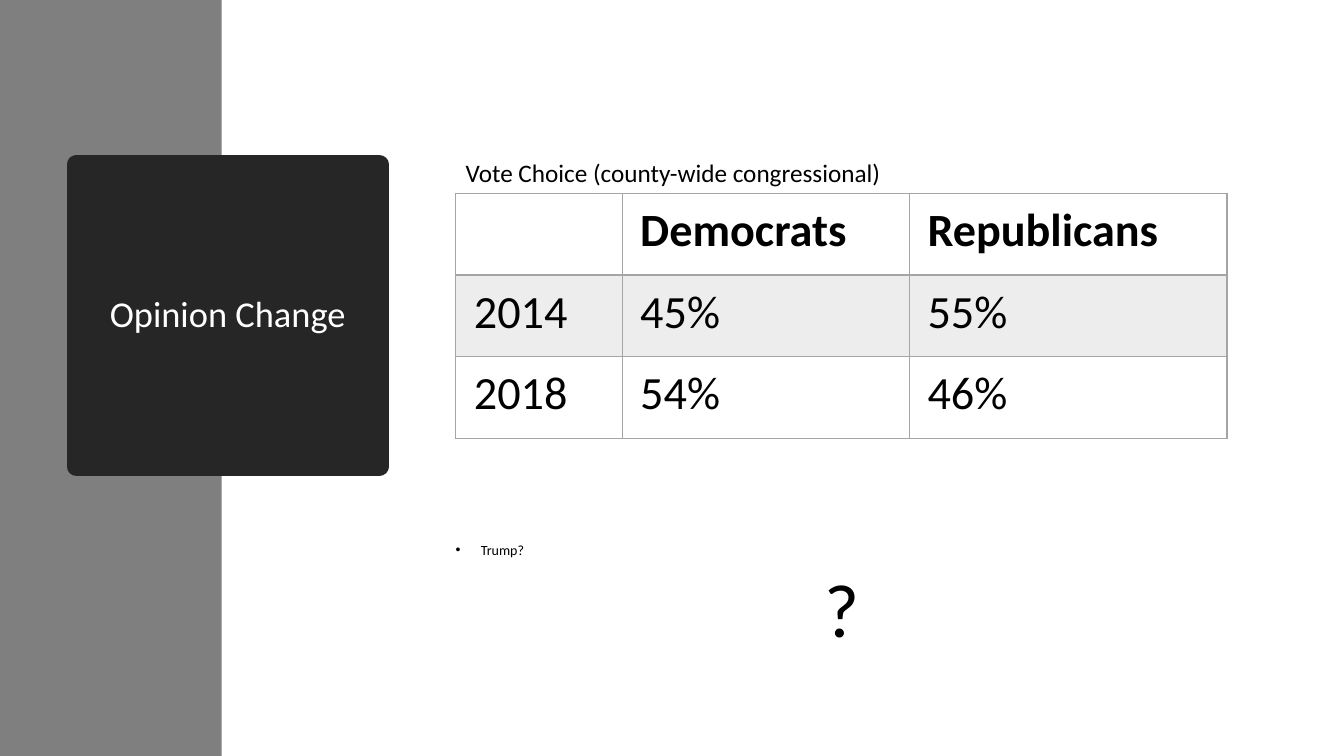
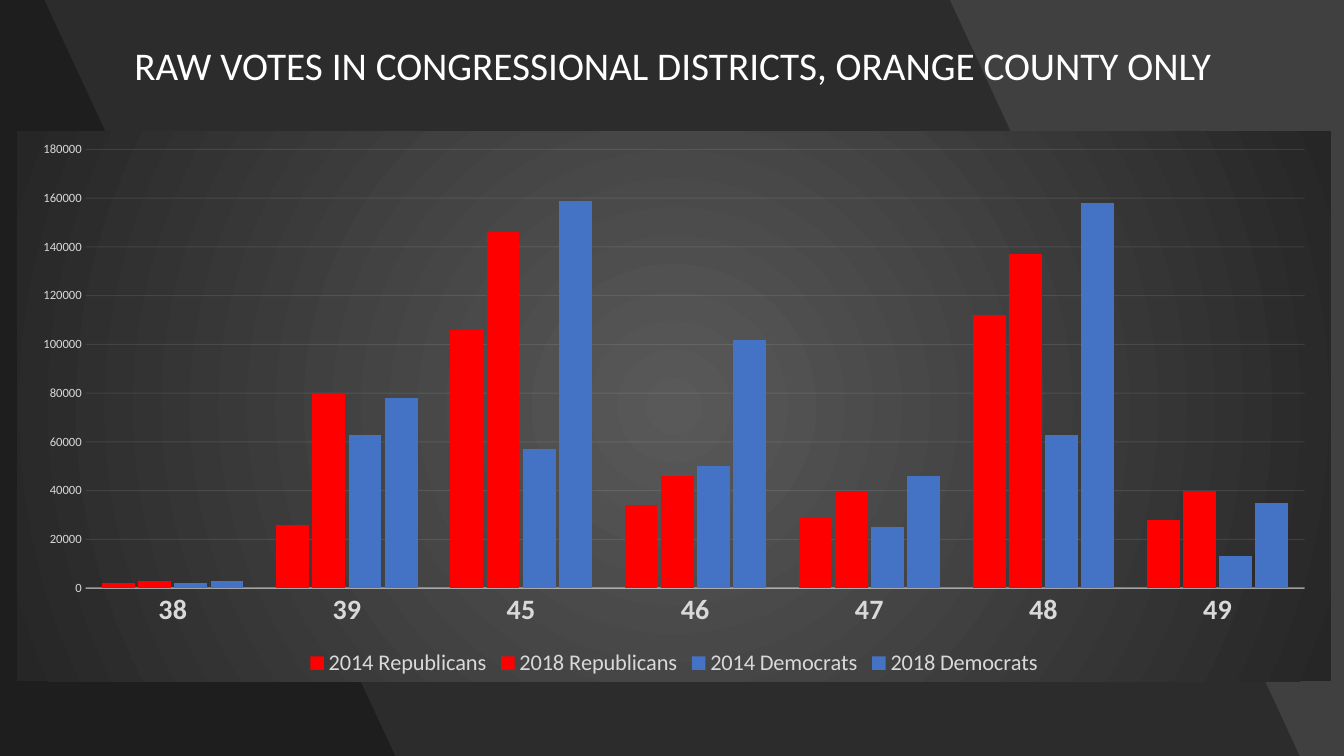
from lxml import etree
from pptx import Presentation
from pptx.chart.data import CategoryChartData
from pptx.dml.color import RGBColor
from pptx.enum.chart import XL_CHART_TYPE, XL_LEGEND_POSITION, XL_TICK_MARK
from pptx.enum.shapes import MSO_SHAPE
from pptx.enum.text import MSO_ANCHOR, MSO_AUTO_SIZE, PP_ALIGN
from pptx.oxml import parse_xml
from pptx.oxml.ns import nsdecls, qn
from pptx.util import Inches, Pt

CENTER, LEFT = PP_ALIGN.CENTER, PP_ALIGN.LEFT
MIDDLE, TOP = MSO_ANCHOR.MIDDLE, MSO_ANCHOR.TOP
NO_TICK = XL_TICK_MARK.NONE

FONT = "Calibri"
WIDTH, HEIGHT = 13.33, 7.5
BLACK = RGBColor(0x00, 0x00, 0x00)
WHITE = RGBColor(0xFF, 0xFF, 0xFF)
BAND_GRAY = RGBColor(0x7F, 0x7F, 0x7F)
CHARCOAL = RGBColor(0x26, 0x26, 0x26)
BACKDROP = RGBColor(0x40, 0x40, 0x40)
RULE_GRAY = RGBColor(0xA5, 0xA5, 0xA5)
STRIPE = RGBColor(0xED, 0xED, 0xED)
LABEL_GRAY = RGBColor(0xD9, 0xD9, 0xD9)
AXIS_GRAY = RGBColor(0xF2, 0xF2, 0xF2)
RED = RGBColor(0xFF, 0x00, 0x00)
BLUE = RGBColor(0x44, 0x72, 0xC4)

OPINION_TITLE = "Opinion Change"
CAPTION = "Vote Choice (county-wide congressional)"
VOTE_CHOICE = [
    ("", "Democrats", "Republicans"),
    ("2014", "45%", "55%"),
    ("2018", "54%", "46%"),
]
VOTE_COLUMNS = (1.65, 2.85, 3.15)
VOTE_ROW = 0.81
# text, size, alignment, indent, bullet, space before
QUESTIONS = [
    ("Trump?", 10, LEFT, 0.25, "•", 0),
    ("?", 54, CENTER, 0, None, 10),
]

RAW_TITLE = "RAW VOTES IN CONGRESSIONAL DISTRICTS, ORANGE COUNTY ONLY"
DISTRICTS = ("38", "39", "45", "46", "47", "48", "49")
RAW_VOTES = [
    ("2014 Republicans", RED, (2000, 26000, 106000, 34000, 29000, 112000, 28000)),
    ("2018 Republicans", RED, (3000, 80000, 146000, 46000, 40000, 137000, 40000)),
    ("2014 Democrats", BLUE, (2000, 63000, 57000, 50000, 25000, 63000, 13000)),
    ("2018 Democrats", BLUE, (3000, 78000, 159000, 102000, 46000, 158000, 35000)),
]
SLANTS = [(9.42, 12.89), (0.44, 3.92)]  # right edge at top and bottom


def style_font(font, size, color, bold=False):
    font.name, font.size, font.bold = FONT, Pt(size), bold
    font.color.rgb = color


def paint(fill, color, opacity=100):
    fill.solid()
    fill.fore_color.rgb = color
    if opacity < 100:
        rgb = fill._xPr.find(".//" + qn("a:srgbClr"))
        etree.SubElement(rgb, qn("a:alpha"), val=str(opacity * 1000))


def place(shape, left, top, width, height):
    shape.left, shape.top = Inches(left), Inches(top)
    shape.width, shape.height = Inches(width), Inches(height)


def new_slide(deck, layout, background):
    slide = deck.slides.add_slide(deck.slide_layouts[layout])
    paint(slide.background.fill, background)
    return slide


def set_title(slide, text, box, size, wrap):
    """Fill the title placeholder and bring it in front of the backdrop."""
    title = slide.shapes.title
    place(title, *box)
    frame = title.text_frame
    frame.text = text
    frame.word_wrap = wrap
    frame.auto_size = MSO_AUTO_SIZE.NONE
    frame.vertical_anchor = MIDDLE
    heading = frame.paragraphs[0]
    heading.alignment = CENTER
    heading.line_spacing = 0.9 if wrap else 1.0
    style_font(heading.font, size, WHITE)
    slide.shapes._spTree.append(title._element)
    return title


def draw_backdrop(shape, color, opacity=100):
    paint(shape.fill, color, opacity)
    shape.line.fill.background()
    shape.shadow.inherit = False


def set_borders(cell, bottom):
    properties = cell._tc.get_or_add_tcPr()
    for side, points in (("L", 1), ("R", 1), ("T", 1), ("B", bottom)):
        properties.append(parse_xml(
            f'<a:ln{side} {nsdecls("a")} w="{Pt(points)}"><a:solidFill>'
            f'<a:srgbClr val="{RULE_GRAY}"/></a:solidFill></a:ln{side}>'))


def add_vote_table(slide, left, top):
    rows, columns = len(VOTE_CHOICE), len(VOTE_COLUMNS)
    table = slide.shapes.add_table(
        rows, columns, Inches(left), Inches(top),
        Inches(sum(VOTE_COLUMNS)), Inches(rows * VOTE_ROW)).table
    table.first_row = table.horz_banding = False
    for column, width in zip(table.columns, VOTE_COLUMNS):
        column.width = Inches(width)
    for r, entries in enumerate(VOTE_CHOICE):
        table.rows[r].height = Inches(VOTE_ROW)
        for c, entry in enumerate(entries):
            cell = table.cell(r, c)
            cell.text = entry
            cell.margin_left = cell.margin_right = Inches(0.18)
            cell.margin_top = cell.margin_bottom = Inches(0.09)
            style_font(cell.text_frame.paragraphs[0].font, 33, BLACK, r == 0)
            set_borders(cell, 2 if r == 0 else 1)
            if r == 1:
                paint(cell.fill, STRIPE)
            else:
                cell.fill.background()


def write_questions(body):
    place(body, 4.42, 5.34, 7.86, 1.41)
    frame = body.text_frame
    frame.auto_size = MSO_AUTO_SIZE.NONE
    frame.vertical_anchor = TOP
    frame.text = "\n".join(question[0] for question in QUESTIONS)
    for line, (_, size, align, indent, bullet, before) in zip(frame.paragraphs, QUESTIONS):
        properties = line._p.get_or_add_pPr()
        properties.set("marL", str(Inches(indent)))
        properties.set("indent", str(-Inches(indent)))
        if bullet:
            etree.SubElement(properties, qn("a:buChar"), char=bullet)
        else:
            etree.SubElement(properties, qn("a:buNone"))
        line.alignment = align
        line.line_spacing = 0.9
        line.space_before = Pt(before)
        style_font(line.font, size, BLACK)


def opinion_slide(deck):
    slide = new_slide(deck, 1, WHITE)
    band = slide.shapes.add_shape(
        MSO_SHAPE.RECTANGLE, 0, 0, Inches(2.2), Inches(HEIGHT))
    draw_backdrop(band, BAND_GRAY)
    title = set_title(slide, OPINION_TITLE, (0.76, 1.63, 3, 3), 26, True)
    paint(title.fill, CHARCOAL)
    paint(title.line.fill, CHARCOAL)
    title.line.width = Pt(13.75)
    write_questions(slide.placeholders[1])
    add_vote_table(slide, 4.52, 1.92)
    caption = slide.shapes.add_textbox(
        Inches(4.52), Inches(1.51), Inches(4.37), Inches(0.4))
    caption.text_frame.text = CAPTION
    style_font(caption.text_frame.paragraphs[0].font, 18, BLACK)


def add_vote_chart(slide):
    data = CategoryChartData(number_format="0")
    data.categories = DISTRICTS
    for name, _, votes in RAW_VOTES:
        data.add_series(name, votes)
    chart = slide.shapes.add_chart(
        XL_CHART_TYPE.COLUMN_CLUSTERED, Inches(0.17), Inches(1.3),
        Inches(13.03), Inches(5.46), data).chart
    style_font(chart.font, 10, WHITE)
    chart.has_title = False
    chart.has_legend = True
    chart.legend.position = XL_LEGEND_POSITION.BOTTOM
    chart.legend.include_in_layout = False
    style_font(chart.legend.font, 16, LABEL_GRAY)

    plot = chart.plots[0]
    plot.gap_width, plot.overlap = 100, -10
    plot.vary_by_categories = False
    for series, (_, color, _) in zip(plot.series, RAW_VOTES):
        paint(series.format.fill, color)
        series.invert_if_negative = False

    districts, votes = chart.category_axis, chart.value_axis
    for axis in (districts, votes):
        axis.major_tick_mark = axis.minor_tick_mark = NO_TICK
    style_font(districts.tick_labels.font, 20, LABEL_GRAY, True)
    paint(districts.format.line.fill, AXIS_GRAY, 54)
    districts.format.line.width = Pt(1)
    style_font(votes.tick_labels.font, 9, LABEL_GRAY)
    votes.tick_labels.number_format = "0"
    votes.tick_labels.number_format_is_linked = False
    votes.minimum_scale, votes.maximum_scale, votes.major_unit = 0, 180000, 20000
    votes.format.line.fill.background()
    grid = votes.major_gridlines.format.line
    paint(grid.fill, AXIS_GRAY, 10)
    grid.width = Pt(0.75)

    glow = parse_xml(
        f'<c:spPr {nsdecls("c", "a")}><a:gradFill><a:gsLst>'
        '<a:gs pos="0"><a:srgbClr val="595959"/></a:gs>'
        f'<a:gs pos="100000"><a:srgbClr val="{CHARCOAL}"/></a:gs></a:gsLst>'
        '<a:path path="circle"><a:fillToRect l="50000" t="50000" r="50000" b="50000"/>'
        '</a:path></a:gradFill><a:ln><a:noFill/></a:ln></c:spPr>')
    chart._chartSpace.find(qn("c:chart")).addnext(glow)


def raw_votes_slide(deck):
    slide = new_slide(deck, 5, BACKDROP)
    for top_edge, bottom_edge in SLANTS:
        outline = slide.shapes.build_freeform(0, 0)
        corners = [(top_edge, 0), (bottom_edge, HEIGHT), (0, HEIGHT)]
        outline.add_line_segments(
            [(Inches(x), Inches(y)) for x, y in corners], close=True)
        draw_backdrop(outline.convert_to_shape(), BLACK, 30)
    add_vote_chart(slide)
    set_title(slide, RAW_TITLE, (1.17, 0.36, 11, 0.57), 28, False)


def main():
    deck = Presentation()
    deck.slide_width, deck.slide_height = Inches(WIDTH), Inches(HEIGHT)
    opinion_slide(deck)
    raw_votes_slide(deck)
    deck.save("out.pptx")


if __name__ == "__main__":
    main()
